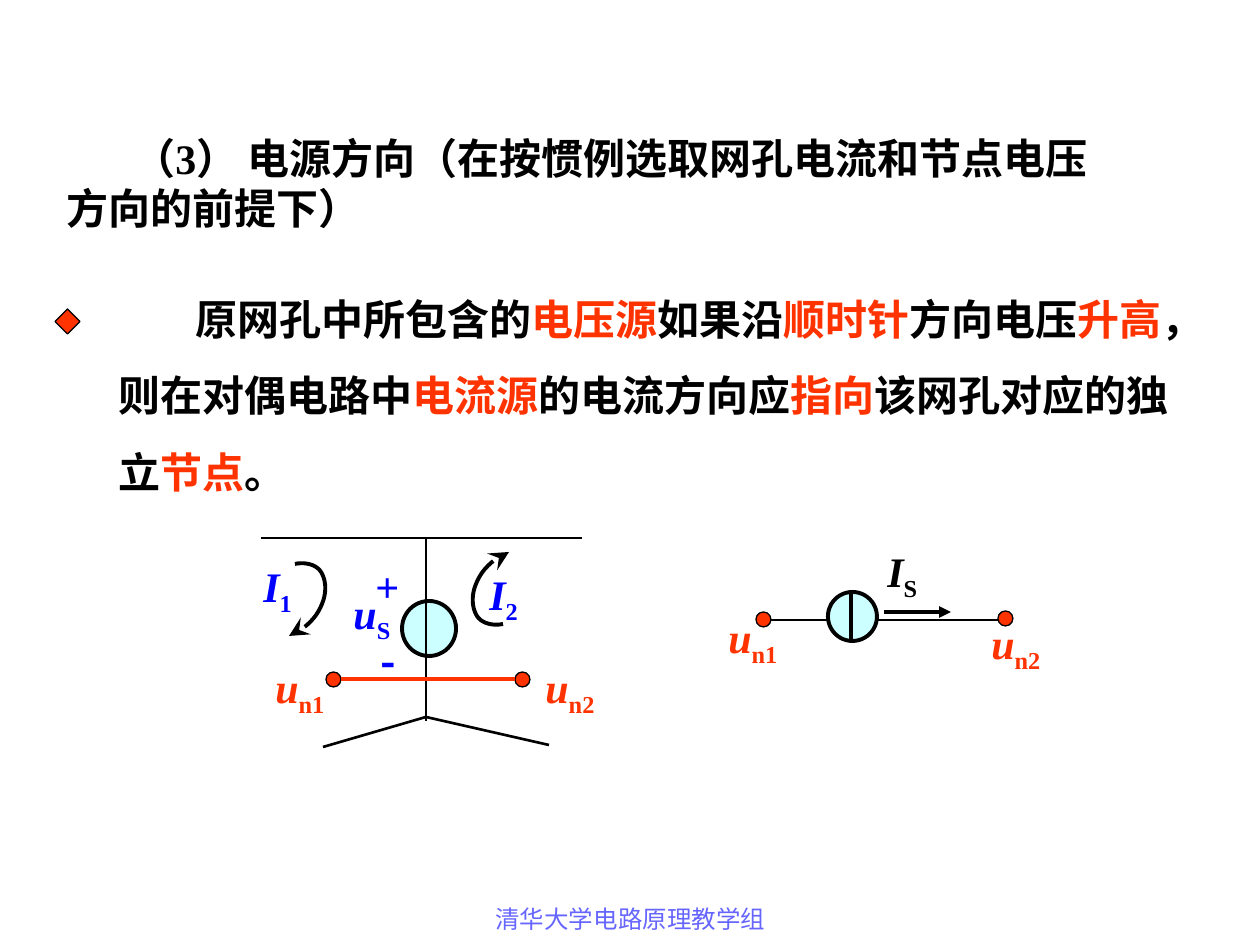
from lxml.etree import SubElement
from pptx import Presentation
from pptx.dml.color import RGBColor
from pptx.enum.shapes import MSO_CONNECTOR, MSO_SHAPE
from pptx.enum.text import PP_ALIGN
from pptx.oxml.ns import qn
from pptx.util import Emu, Pt

EMU_PER_PX = 914400 / 126
BLACK = RGBColor(0x00, 0x00, 0x00)
RED = RGBColor(0xFF, 0x33, 0x00)
BLUE = RGBColor(0x00, 0x00, 0xFF)
CYAN = RGBColor(0xCC, 0xFF, 0xFF)
LAVENDER = RGBColor(0x66, 0x66, 0xFF)
SERIF = "Times New Roman"
CJK = "Noto Sans CJK SC"

RULE_LINES = [
    [("原网孔中所包含的", BLACK), ("电压源", RED), ("如果沿", BLACK),
     ("顺时针", RED), ("方向电压", BLACK), ("升高", RED), ("，", BLACK)],
    [("则在对偶电路中", BLACK), ("电流源", RED), ("的电流方向应", BLACK),
     ("指向", RED), ("该网孔对应的独", BLACK)],
    [("立", BLACK), ("节点", RED), ("。", BLACK)],
]
MESH_LOOP = [
    ((295, 564), (304, 562), (316, 564), (321, 572)),
    ((321, 572), (326, 580), (327, 592), (322, 604)),
    ((322, 604), (317, 617), (306, 629), (289, 636)),
]
LOOP_CENTRE_SUM = (798, 1188)


def px(length):
    """Turn a length in px into EMU."""
    return Emu(round(length * EMU_PER_PX))


def style_run(run, color, size=24, bold=True, italic=False, font=SERIF, baseline=0):
    """Set the character format of one run."""
    run.font.size = Pt(size)
    run.font.bold = bold
    run.font.italic = italic
    run.font.name = font
    run.font.color.rgb = color
    properties = run._r.get_or_add_rPr()
    SubElement(properties, qn("a:ea")).set("typeface", CJK)
    if baseline:
        properties.set("baseline", str(baseline * 1000))


def add_text(slide, lines, box, align=PP_ALIGN.LEFT, indent=0, wrap=True, **run_format):
    """Add a text box from lines of (text, color) or (text, color, format) parts."""
    frame = slide.shapes.add_textbox(*map(px, box)).text_frame
    frame.word_wrap = wrap
    for number, parts in enumerate(lines):
        paragraph = frame.add_paragraph() if number else frame.paragraphs[0]
        paragraph.alignment = align
        if number:
            paragraph.space_before = Pt(15)
        elif indent:
            paragraph._p.get_or_add_pPr().set("indent", str(px(indent)))
        for text, color, *extra in parts:
            run = paragraph.add_run()
            run.text = text
            style_run(run, color, **{**run_format, **(extra[0] if extra else {})})


def add_symbol(slide, letter, subscript, color, left, top, width):
    """Add an italic circuit quantity with an upright subscript."""
    parts = [(letter, color, {"italic": True}), (subscript, color, {"baseline": -25})]
    add_text(slide, [parts], (left, top, width, 71), wrap=False)


def add_figure(slide, preset, box, fill, width):
    """Add a filled preset shape with a black outline."""
    figure = slide.shapes.add_shape(preset, *map(px, box))
    figure.shadow.inherit = False
    figure.fill.solid()
    figure.fill.fore_color.rgb = fill
    figure.line.color.rgb = BLACK
    figure.line.width = Pt(width)


def add_node(slide, left, top):
    """Add a red node dot."""
    add_figure(slide, MSO_SHAPE.OVAL, (left, top, 15, 15), RED, 0.75)


def add_arrowhead(line, kind, size):
    """Put an arrowhead at the end of a line."""
    head = SubElement(line._get_or_add_ln(), qn("a:tailEnd"))
    for name, value in (("type", kind), ("w", size), ("len", size)):
        head.set(name, value)


def add_wire(slide, start, end, color=BLACK, width=1.5, arrow=False):
    """Add a straight line, with an arrowhead on request."""
    wire = slide.shapes.add_connector(
        MSO_CONNECTOR.STRAIGHT, *map(px, (*start, *end)))
    wire.line.color.rgb = color
    wire.line.width = Pt(width)
    if arrow:
        add_arrowhead(wire.line, "triangle", "med")
    SubElement(wire._element.spPr, qn("a:effectLst"))


def curve_point(curve, t):
    """Return the point of a cubic curve at t."""
    weights = ((1 - t) ** 3, 3 * t * (1 - t) ** 2, 3 * t * t * (1 - t), t ** 3)
    return tuple(sum(w * p[axis] for w, p in zip(weights, curve)) for axis in (0, 1))


def add_loop_arrow(slide, turned=False):
    """Add a clockwise mesh arrow, turned half round for the right mesh."""
    points = [MESH_LOOP[0][0]]
    points += [curve_point(curve, step / 10) for curve in MESH_LOOP for step in range(1, 11)]
    if turned:
        points = [(LOOP_CENTRE_SUM[0] - x, LOOP_CENTRE_SUM[1] - y) for x, y in points]
    points = [(px(x), px(y)) for x, y in points]
    builder = slide.shapes.build_freeform(*points[0])
    builder.add_line_segments(points[1:], close=False)
    loop = builder.convert_to_shape()
    loop.shadow.inherit = False
    loop.fill.background()
    loop.line.color.rgb = BLACK
    loop.line.width = Pt(2.25)
    add_arrowhead(loop.line, "stealth", "lg")


def add_current_source(slide):
    """Draw the dual branch with the current source."""
    add_wire(slide, (770, 620), (998, 620))
    add_figure(slide, MSO_SHAPE.OVAL, (828, 592, 49, 49), CYAN, 2.25)
    add_wire(slide, (851, 592), (851, 641), width=2.25)
    add_node(slide, 756, 612)
    add_node(slide, 998, 611)
    add_symbol(slide, "u", "n1", RED, 716, 605, 78)
    add_symbol(slide, "u", "n2", RED, 979, 611, 78)
    add_wire(slide, (884, 612), (951, 612), width=2.25, arrow=True)
    add_symbol(slide, "I", "S", BLACK, 875, 539, 62)


def add_voltage_source(slide):
    """Draw the two meshes that share the voltage source."""
    add_figure(slide, MSO_SHAPE.OVAL, (402, 601, 54, 55), CYAN, 2.25)
    for start, end in (((426, 538), (426, 721)), ((261, 538), (582, 538)),
                       ((426, 717), (323, 747)), ((426, 717), (549, 745))):
        add_wire(slide, start, end)
    add_text(slide, [[("+", BLUE)]], (363, 554, 49, 63), wrap=False)
    add_text(slide, [[("-", BLUE)]], (368, 629, 39, 63), wrap=False, font=CJK)
    add_symbol(slide, "u", "S", BLUE, 341, 581, 79)
    add_loop_arrow(slide)
    add_loop_arrow(slide, turned=True)
    add_symbol(slide, "I", "1", BLUE, 251, 554, 62)
    add_symbol(slide, "I", "2", BLUE, 477, 562, 62)
    add_node(slide, 326, 672)
    add_node(slide, 515, 672)
    add_wire(slide, (341, 679), (515, 679), RED, 2.25)
    add_symbol(slide, "u", "n1", RED, 263, 655, 78)
    add_symbol(slide, "u", "n2", RED, 533, 655, 78)


def main():
    """Build and save the slide."""
    deck = Presentation()
    deck.slide_width, deck.slide_height = px(1260), px(945)
    slide = deck.slides.add_slide(deck.slide_layouts[6])
    heading = "（3） 电源方向（在按惯例选取网孔电流和节点电压方向的前提下）"
    add_text(slide, [[(heading, BLACK)]], (54, 126, 1081, 113), indent=67)
    add_text(slide, RULE_LINES, (106, 287, 1128, 217), indent=77)
    add_figure(slide, MSO_SHAPE.DIAMOND, (55, 309, 25, 25), RED, 0.75)
    add_current_source(slide)
    add_voltage_source(slide)
    add_text(slide, [[("清华大学电路原理教学组", LAVENDER)]], (431, 898, 399, 66),
             align=PP_ALIGN.CENTER, size=14, bold=False)
    deck.save("out.pptx")


if __name__ == "__main__":
    main()
